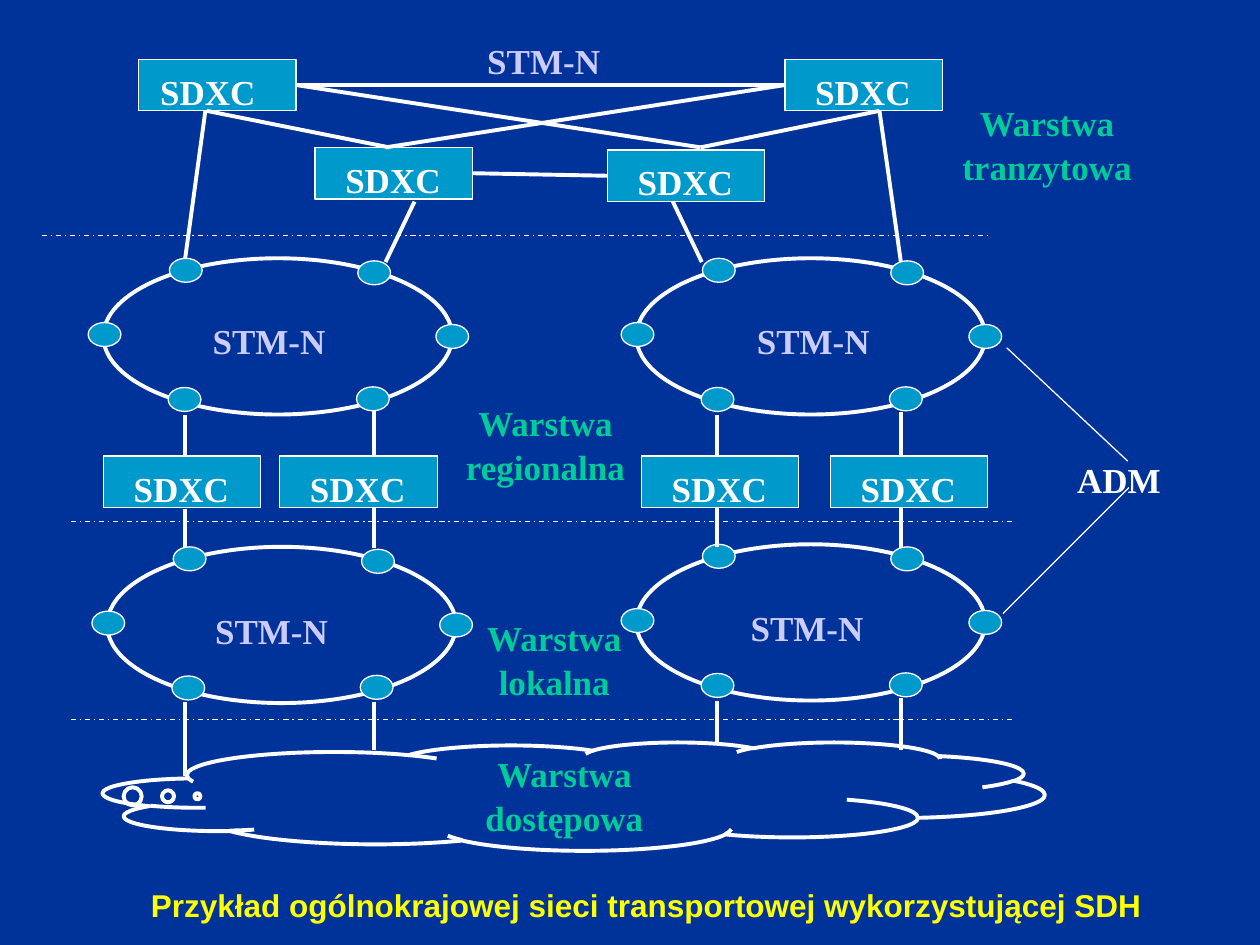
from pptx import Presentation
from pptx.dml.color import RGBColor
from pptx.enum.dml import MSO_LINE_DASH_STYLE as DASH
from pptx.enum.shapes import MSO_CONNECTOR as CONNECTOR, MSO_SHAPE as SHAPE
from pptx.enum.text import MSO_ANCHOR as ANCHOR, PP_ALIGN as ALIGN
from pptx.oxml.xmlchemy import OxmlElement
from pptx.util import Inches, Pt

NAVY = RGBColor(0x00, 0x33, 0x99)
BLUE = RGBColor(0x00, 0x99, 0xCC)
WHITE = RGBColor(0xFF, 0xFF, 0xFF)
GREEN = RGBColor(0x00, 0xCC, 0x99)
LILAC = RGBColor(0xCC, 0xCC, 0xFF)
YELLOW = RGBColor(0xFF, 0xFF, 0x00)

SLIDE_WIDTH, SLIDE_HEIGHT = Inches(10), Inches(7.5)
COLUMNS, ROWS = 100, 75
SERIF, SANS = "Times New Roman", "Arial"
THIN, THICK = 0.75, 2.25
TOP, LEFT, RIGHT = 0, 1, 3

TRANSIT_BOXES = [(11, 4.7, 1.7), (62.3, 4.7, 2.4), (25, 11.7, 2.4), (48.2, 11.9, 2.4)]
REGIONAL_BOXES = [(left, 36.2, 2.4) for left in (8.2, 22.2, 50.9, 65.9)]
RINGS = [(8.2, 20.5, 15.4, 24.7), (50.5, 20.5, 58.6, 24.7),
         (8.5, 43.4, 15.6, 47.7), (50.5, 43.2, 58.1, 47.5)]
NODE_OFFSETS = [(5.25, 0), (20.2, 0.2), (-1.2, 5.1), (26.4, 5.25), (5.15, 10.25), (20.1, 10.2)]
DIVIDERS = [(3.3, 78.4, 18.7), (5.6, 80.6, 41.4), (5.6, 80.6, 57.1)]
TRANSIT_LINKS = [((16.4, 8.8), (30.9, 11.7)), ((69.8, 8.8), (55.6, 11.7)),
                 ((16.3, 8.8), (14.7, 20.5)), ((69.8, 8.8), (71.5, 20.8)),
                 ((32.9, 16), (30.6, 20.8)), ((53.4, 16), (55.7, 20.8))]
DROPS = [(14.7, [(32.9, 36.3), (40.4, 43.4), (55.7, 61.6)]),
         (29.7, [(32.6, 36.2), (40.3, 43.5), (55.7, 59.5)]),
         (56.9, [(32.9, 36.3), (40.3, 43.4), (55.6, 58.9)]),
         (71.5, [(32.7, 36.2), (40.3, 43.5), (55.4, 59.5)])]
LAYERS = [("Warstwa tranzytowa", 74.9, 7.4), ("Warstwa regionalna", 35.1, 31.2),
          ("Warstwa lokalna", 35.8, 48.3), ("Warstwa dostępowa", 36.6, 59.1)]


def across(columns):
    return round(SLIDE_WIDTH * columns / COLUMNS)


def down(rows):
    return round(SLIDE_HEIGHT * rows / ROWS)


def place(left, top, width, height):
    return across(left), down(top), across(width), down(height)


def write(box, text, color, size=20, font=SERIF, align=ALIGN.LEFT, spacing=1.05):
    frame = box.text_frame
    frame.word_wrap = True
    frame.vertical_anchor = ANCHOR.TOP
    para = frame.paragraphs[0]
    para.alignment = align
    para.line_spacing = spacing
    span = para.add_run()
    span.text = text
    span.font.name = font
    span.font.size = Pt(size)
    span.font.bold = True
    span.font.color.rgb = color


def add_figure(page, kind, area, fill=None, weight=THIN):
    figure = page.shapes.add_shape(kind, *place(*area))
    figure.shadow.inherit = False
    if fill is None:
        figure.fill.background()
    else:
        figure.fill.solid()
        figure.fill.fore_color.rgb = fill
    figure.line.color.rgb = WHITE
    figure.line.width = Pt(weight)
    return figure


def add_switch(page, left, top, indent):
    switch = add_figure(page, SHAPE.RECTANGLE, (left, top, 12.5, 4.1), BLUE)
    switch.text_frame.margin_left = across(indent)
    switch.text_frame.margin_right = 0
    switch.text_frame.margin_top = down(0.7)
    write(switch, "SDXC", WHITE)
    return switch


def add_ring(page, left, top):
    add_figure(page, SHAPE.OVAL, (left, top, 27.7, 12.4), weight=THICK)
    for right_by, down_by in NODE_OFFSETS:
        add_figure(page, SHAPE.OVAL, (left + right_by, top + down_by, 2.6, 1.9), BLUE)


def add_line(page, start, end, weight=THICK, dash=None):
    line = page.shapes.add_connector(
        CONNECTOR.STRAIGHT, across(start[0]), down(start[1]), across(end[0]), down(end[1]))
    line.line.color.rgb = WHITE
    line.line.width = Pt(weight)
    if dash is not None:
        line.line.dash_style = dash
    line._element.spPr.append(OxmlElement("a:effectLst"))
    return line


def add_label(page, text, area, color, **style):
    write(page.shapes.add_textbox(*place(*area)), text, color, **style)


def link_switches(page, switches):
    north_west, north_east, south_west, south_east = switches
    for first, first_side, second, second_side in [
            (north_west, RIGHT, north_east, LEFT), (south_west, RIGHT, south_east, LEFT)]:
        line = add_line(page, (0, 0), (1, 1))
        line.begin_connect(first, first_side)
        line.end_connect(second, second_side)
    add_line(page, (23.6, 6.7), (55.6, 11.7)).begin_connect(north_west, RIGHT)
    add_line(page, (62.2, 6.7), (30.6, 11.7)).begin_connect(north_east, LEFT)


def main():
    deck = Presentation()
    deck.slide_width, deck.slide_height = SLIDE_WIDTH, SLIDE_HEIGHT
    page = deck.slides.add_slide(deck.slide_layouts[6])
    page.background.fill.solid()
    page.background.fill.fore_color.rgb = NAVY

    transit = [add_switch(page, *spot) for spot in TRANSIT_BOXES]
    for left, top, _, _ in RINGS:
        add_ring(page, left, top)
    for spot in REGIONAL_BOXES:
        add_switch(page, *spot)
    for start, end, row in DIVIDERS:
        add_line(page, (start, row), (end, row), THIN, DASH.DASH_DOT)
    cloud = add_figure(page, SHAPE.CLOUD_CALLOUT, (8.2, 58.9, 74.7, 8.6), weight=THICK)
    cloud.adjustments[0] = -0.4
    cloud.adjustments[1] = 0

    link_switches(page, transit)
    for start, end in TRANSIT_LINKS:
        add_line(page, start, end)
    for column, spans in DROPS:
        for top, bottom in spans:
            add_line(page, (column, top), (column, bottom))

    for text, left, top in LAYERS:
        add_label(page, text, (left, top, 16.4, 6.3), GREEN, align=ALIGN.CENTER)
    for left, top in [(37.2, 2.5)] + [ring[2:] for ring in RINGS]:
        add_label(page, "STM-N", (left, top, 11.9, 4.3), LILAC, align=ALIGN.CENTER)
    add_label(page, "ADM", (84.5, 35.7, 12.2, 4.5), WHITE)
    add_line(page, (79.9, 27.6), (89.5, 36.6), THIN)
    add_line(page, (79.6, 48.7), (89.6, 38.7), THIN)
    add_label(page, "Przykład ogólnokrajowej sieci transportowej wykorzystującej SDH",
              (11, 69.8, 81.7, 4), YELLOW, size=18, font=SANS, spacing=1)
    deck.save("out.pptx")


if __name__ == "__main__":
    main()
